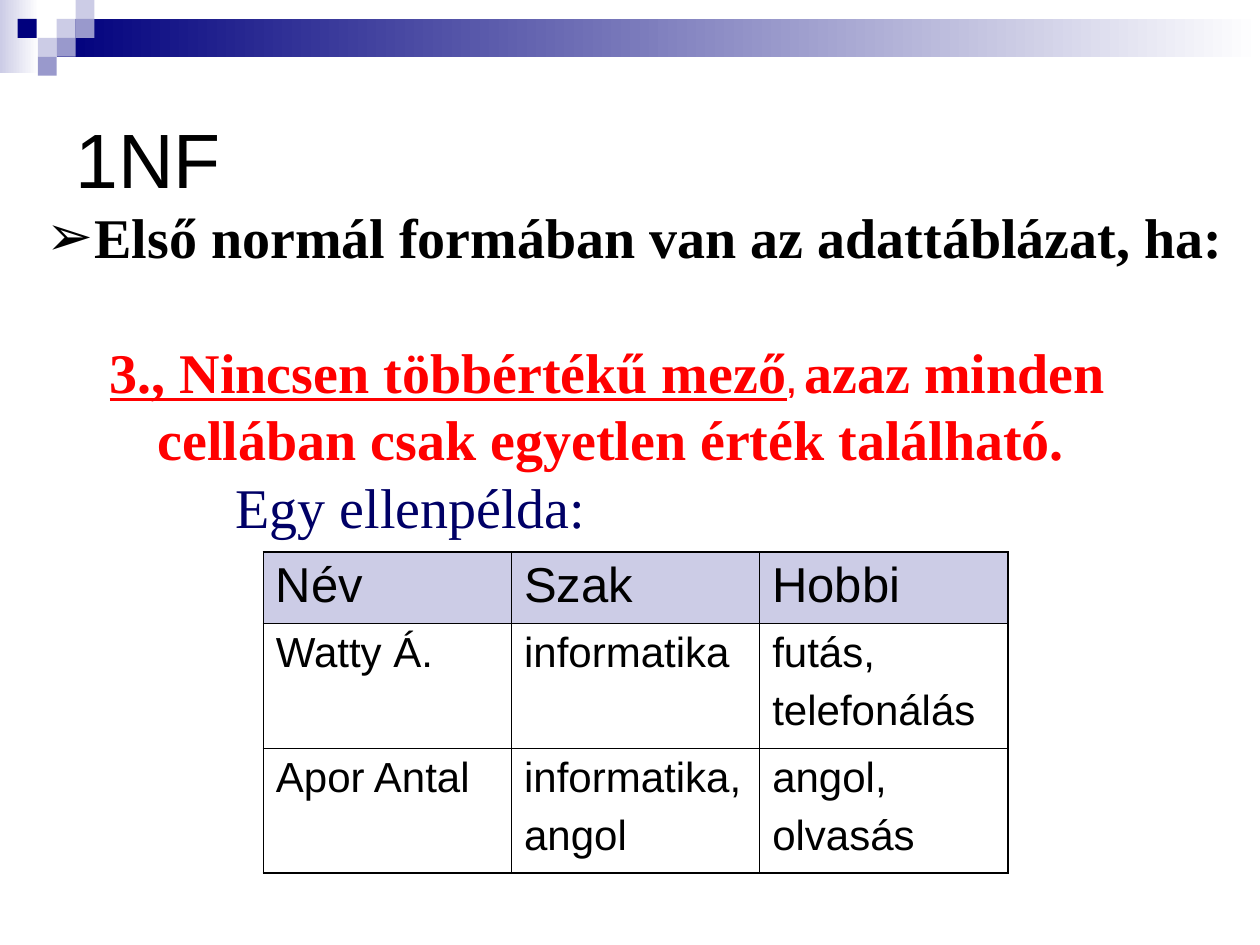
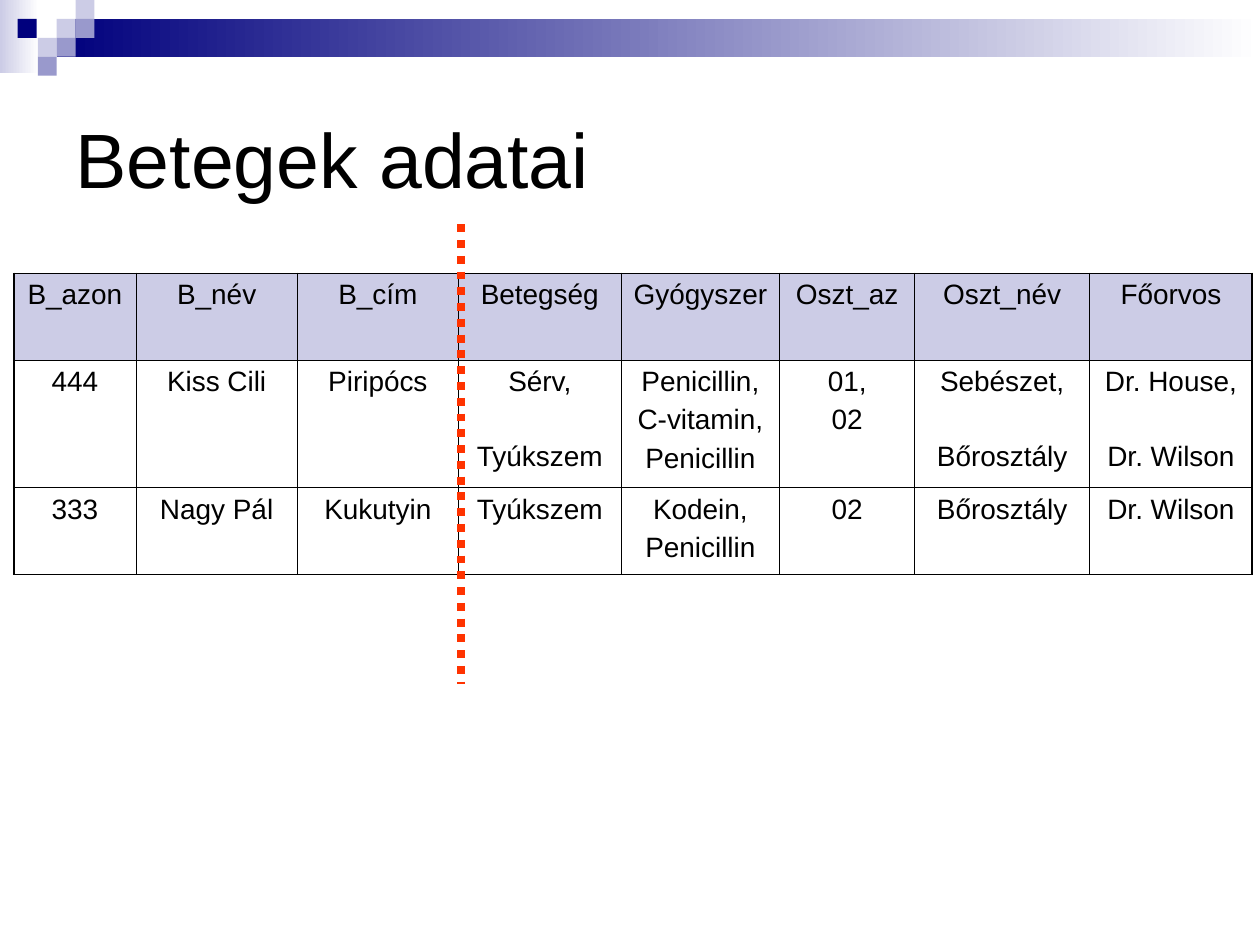
from lxml import etree
from pptx import Presentation
from pptx.dml.color import RGBColor
from pptx.enum.dml import MSO_LINE
from pptx.enum.shapes import MSO_CONNECTOR, MSO_SHAPE
from pptx.enum.text import MSO_ANCHOR, MSO_AUTO_SIZE, PP_ALIGN
from pptx.oxml.ns import qn
from pptx.util import Pt

PX = 9144  # EMU per px, 100 px to the inch
LEFT, CENTER = PP_ALIGN.LEFT, PP_ALIGN.CENTER
MIDDLE = MSO_ANCHOR.MIDDLE
NO_AUTOFIT = MSO_AUTO_SIZE.NONE
RECTANGLE = MSO_SHAPE.RECTANGLE
STRAIGHT = MSO_CONNECTOR.STRAIGHT
DOTTED = MSO_LINE.ROUND_DOT

TITLE_AND_CONTENT, TITLE_ONLY = 1, 5
SANS, SERIF = "Arial", "Times New Roman"
COLORS = {
    "white": "FFFFFF", "black": "000000", "navy": "00007D", "pale": "CCCCE6",
    "violet": "9999CC", "red": "FF0000", "ink": "000066", "divider": "FF3300",
}
THICK, THIN = 1.08, 0.45
BODY_LINE = 38.5

# Corner decoration: left, top, colour of each square tile
TILE = 15
TILES = [
    (45, 15, "pale"), (60, 0, "pale"), (60, 15, "violet"), (30, 30, "pale"),
    (14, 15, "navy"), (45, 30, "violet"), (30, 45, "violet"),
]


def px(value):
    return value * PX


def rgb(name):
    return RGBColor.from_string(COLORS[name])


class SlideMaker:
    """Holds the deck's style and the slide being built."""

    def __init__(self):
        self.deck = Presentation()
        self.deck.slide_width, self.deck.slide_height = px(1000), px(750)
        self.slide = None

    def start(self, layout, title):
        self.slide = self.deck.slides.add_slide(self.deck.slide_layouts[layout])
        self.decoration()
        frame = self.frame(self.slide.shapes.title, 50, 50, 900, 150)
        para = frame.paragraphs[0]
        para.alignment = LEFT
        self.span(para, title, 44)

    def frame(self, box, left, top, width, height):
        box.left, box.top, box.width, box.height = map(px, (left, top, width, height))
        frame = box.text_frame
        frame.word_wrap = True
        frame.auto_size = NO_AUTOFIT
        frame.vertical_anchor = MIDDLE
        return frame

    def span(self, para, text, size, font=SANS, color="black", bold=False, underline=False):
        run = para.add_run()
        run.text = text
        run.font.size, run.font.name = Pt(size), font
        run.font.bold, run.font.underline = bold, underline
        run.font.color.rgb = rgb(color)

    def rectangle(self, shapes, left, top, width, height, *colors):
        box = shapes.add_shape(RECTANGLE, px(left), px(top), px(width), px(height))
        box.shadow.inherit = False
        box.line.fill.background()
        if len(colors) == 1:
            box.fill.solid()
            box.fill.fore_color.rgb = rgb(colors[0])
        else:
            box.fill.gradient()
            box.fill.gradient_angle = 0
            for stop, color in zip(box.fill.gradient_stops, colors):
                stop.color.rgb = rgb(color)

    def decoration(self):
        shapes = self.slide.shapes.add_group_shape().shapes
        self.rectangle(shapes, 0, 0, 31, 58, "pale", "white")
        self.rectangle(shapes, 45, 15, 955, 30, "navy", "white")
        for left, top, color in TILES:
            self.rectangle(shapes, left, top, TILE, TILE, color)

    def body(self, left, top, width, height, items):
        """Each item is (level, margin, space before, bullet, spans)."""
        frame = self.frame(self.slide.placeholders[1], left, top, width, height)
        for index, (level, margin, space, bullet, spans) in enumerate(items):
            para = frame.paragraphs[0] if index == 0 else frame.add_paragraph()
            para.level = level
            para.alignment = LEFT
            self.bullet(para, margin, bullet)
            para.space_before, para.line_spacing = Pt(space), Pt(BODY_LINE)
            for text, style in spans:
                self.span(para, text, **style)

    def bullet(self, para, margin, mark):
        props = para._p.get_or_add_pPr()
        props.set("marL", str(px(margin)))
        props.set("indent", str(px(-38)))
        if mark is None:
            etree.SubElement(props, qn("a:buNone"))
            return
        color = etree.SubElement(props, qn("a:buClr"))
        etree.SubElement(color, qn("a:srgbClr"), val=COLORS["black"])
        etree.SubElement(props, qn("a:buChar"), char=mark)

    def table(self, left, top, widths, heights, rows, sizes, align, row_rule):
        """Sizes are the header and body text sizes; row_rule is the inner row line."""
        table = self.slide.shapes.add_table(
            len(rows), len(widths), px(left), px(top), px(sum(widths)), px(sum(heights))
        ).table
        table.first_row = table.horz_banding = False
        for column, width in zip(table.columns, widths):
            column.width = px(width)
        last_row, last_column = len(rows) - 1, len(widths) - 1
        for r, texts in enumerate(rows):
            table.rows[r].height = px(heights[r])
            for c, text in enumerate(texts):
                cell = table.cell(r, c)
                self.borders(cell, {
                    "lnL": THICK if c == 0 else THIN,
                    "lnR": THICK if c == last_column else THIN,
                    "lnT": THICK if r == 0 else row_rule,
                    "lnB": THICK if r == last_row else row_rule,
                })
                if r == 0:
                    cell.fill.solid()
                    cell.fill.fore_color.rgb = rgb("pale")
                else:
                    cell.fill.background()
                self.cell_text(cell, text, sizes[min(r, 1)], align)

    def borders(self, cell, widths):
        props = cell._tc.get_or_add_tcPr()
        for side, width in widths.items():
            line = etree.SubElement(props, qn("a:" + side), w=str(Pt(width)))
            fill = etree.SubElement(line, qn("a:solidFill"))
            etree.SubElement(fill, qn("a:srgbClr"), val=COLORS["black"])

    def cell_text(self, cell, text, size, align):
        """Lines become paragraphs; an empty line widens the next gap."""
        frame = cell.text_frame
        gap = 0
        for index, line in enumerate(text.split("\n")):
            if not line:
                gap += size * 1.3
                continue
            para = frame.add_paragraph() if index else frame.paragraphs[0]
            para.alignment = align
            para.space_before = Pt(gap)
            self.span(para, line, size)
            gap = size / 4

    def dotted_line(self, x1, y1, x2, y2, color, width):
        line = self.slide.shapes.add_connector(STRAIGHT, px(x1), px(y1), px(x2), px(y2))
        line.line.color.rgb = rgb(color)
        line.line.width = Pt(width)
        line.line.dash_style = DOTTED
        etree.SubElement(line._element.spPr, qn("a:effectLst"))


def first_normal_form(maker):
    maker.start(TITLE_AND_CONTENT, "1NF")
    strong = {"size": 32, "font": SERIF, "bold": True}
    alert = {**strong, "color": "red"}
    maker.body(27, 156, 959, 277, [
        (0, 38, 0, "➢", [("Első normál formában van az adattáblázat, ha:", strong)]),
        (1, 88, BODY_LINE, None, [
            ("3., Nincsen többértékű mező", {**alert, "underline": True}),
            (", ", {**alert, "size": 18, "font": SANS}),
            ("azaz minden cellában csak egyetlen érték található.", alert),
        ]),
        (3, 188, 0, None, [
            ("Egy ellenpélda:", {"size": 32, "font": SERIF, "color": "ink"}),
        ]),
    ])
    maker.table(209, 438, [197] * 3, [57, 99, 99], [
        ["Név", "Szak", "Hobbi"],
        ["Watty Á.", "informatika", "futás,\ntelefonálás"],
        ["Apor Antal", "informatika,\nangol", "angol,\nolvasás"],
    ], sizes=(28, 24), align=LEFT, row_rule=THIN)


def patient_data(maker):
    maker.start(TITLE_ONLY, "Betegek adatai")
    maker.table(11, 217, [97, 128, 128, 129, 126, 107, 139, 129], [69, 101, 69], [
        ["B_azon", "B_név", "B_cím", "Betegség", "Gyógyszer", "Oszt_az", "Oszt_név",
         "Főorvos"],
        ["444", "Kiss Cili", "Piripócs", "Sérv,\n\nTyúkszem",
         "Penicillin,\nC-vitamin,\nPenicillin", "01,\n02",
         "Sebészet,\n\nBőrosztály", "Dr. House,\n\nDr. Wilson"],
        ["333", "Nagy Pál", "Kukutyin", "Tyúkszem", "Kodein,\nPenicillin", "02",
         "Bőrosztály", "Dr. Wilson"],
    ], sizes=(16, 16), align=CENTER, row_rule=THICK)
    # Divider between personal and treatment data
    maker.dotted_line(366, 178, 366, 543, "divider", 4.5)


def main():
    maker = SlideMaker()
    first_normal_form(maker)
    patient_data(maker)
    maker.deck.save("out.pptx")


if __name__ == "__main__":
    main()
